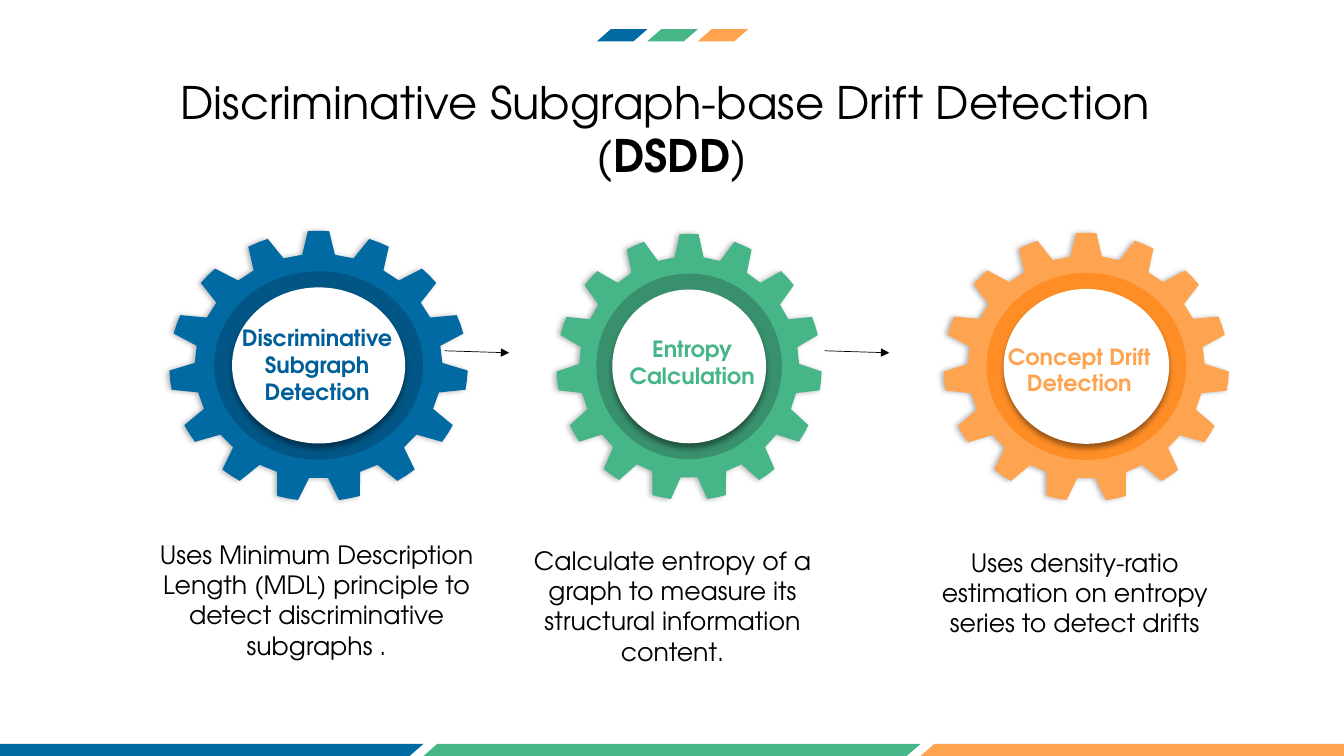
from math import cos, radians, sin

from lxml.etree import SubElement
from pptx import Presentation
from pptx.dml.color import RGBColor
from pptx.enum.shapes import MSO_CONNECTOR, MSO_SHAPE
from pptx.enum.text import MSO_ANCHOR, MSO_AUTO_SIZE, PP_ALIGN
from pptx.oxml.ns import qn
from pptx.util import Inches, Pt

FONT = "TeX Gyre Adventor"
COLORS = {
    "blue": "016AA3", "blue_ring": "015685", "blue_text": "005F99",
    "green": "46B688", "green_ring": "38906C",
    "orange": "FEA34F", "orange_ring": "FE8D26",
    "black": "000000", "white": "FFFFFF",
}
TEETH = 15

# Gear box, colours, label and its box, description and its box
STAGES = [
    ((1.68, 2.29, 2.96, 2.67), "blue", "blue_text",
     ["Discriminative Subgraph", "Detection"], (2.32, 3.22, 1.65, 0.81),
     "Uses Minimum Description Length (MDL) principle to detect "
     "discriminative subgraphs .", (1.44, 5.35, 3.4, 1.21)),
    ((5.52, 2.32, 2.63, 2.63), "green", "green",
     ["Entropy", "Calculation"], (6.19, 3.33, 1.35, 0.54),
     "Calculate entropy of a graph to measure its structural information "
     "content.", (4.97, 5.41, 3.4, 1.21)),
    ((9.36, 2.31, 2.83, 2.65), "orange", "orange",
     ["Concept Drift Detection"], (9.96, 3.4, 1.49, 0.54),
     "Uses density-ratio estimation on entropy series to detect drifts",
     (9.13, 5.43, 3.06, 0.93)),
]


def rgb(name):
    return RGBColor.from_string(COLORS[name])


def paint(shape, color):
    shape.shadow.inherit = False
    shape.fill.solid()
    shape.fill.fore_color.rgb = rgb(color)
    shape.line.fill.background()


def cast_shadow(shape, opacity, blur, distance, direction):
    effects = shape._element.spPr.find(qn("a:effectLst"))
    shadow = SubElement(effects, qn("a:outerShdw"), blurRad=str(Pt(blur)),
                        dist=str(Pt(distance)), dir=str(direction * 60000),
                        algn="ctr", rotWithShape="0")
    tint = SubElement(shadow, qn("a:srgbClr"), val=COLORS["black"])
    SubElement(tint, qn("a:alpha"), val=str(opacity * 1000))


def add_text(slide, box, paragraphs, size, color, bold=None,
             anchor=MSO_ANCHOR.TOP):
    """Each paragraph is a list of (text, bold) runs or a plain string."""
    frame = slide.shapes.add_textbox(*map(Inches, box)).text_frame
    frame.word_wrap = True
    frame.auto_size = MSO_AUTO_SIZE.SHAPE_TO_FIT_TEXT
    frame.vertical_anchor = anchor
    frame.margin_left = frame.margin_right = 0
    frame.margin_top = frame.margin_bottom = 0
    for i, content in enumerate(paragraphs):
        paragraph = frame.paragraphs[0] if i == 0 else frame.add_paragraph()
        paragraph.alignment = PP_ALIGN.CENTER
        font = paragraph.font
        font.name, font.size, font.bold = FONT, Pt(size), bold
        font.color.rgb = rgb(color)
        runs = [(content, None)] if isinstance(content, str) else content
        for text, run_bold in runs:
            run = paragraph.add_run()
            run.text = text
            if run_bold is not None:
                run.font.bold = run_bold


def add_stripes(slide, box):
    """Three slanted stripes sharing the width of the box."""
    left, top, width, height = box
    group = slide.shapes.add_group_shape()
    for i, color in enumerate(("blue", "green", "orange")):
        stripe = group.shapes.add_shape(
            MSO_SHAPE.PARALLELOGRAM, Inches(left + i * width / 3), Inches(top),
            Inches(width / 3), Inches(height))
        stripe.adjustments[0] = 1.144
        paint(stripe, color)


def add_gear(slide, box, color):
    left, top, width, height = box
    center_x, center_y = left + width / 2, top + height / 2
    radius_x, radius_y = width / 2, height / 1.99
    group = slide.shapes.add_group_shape()

    # Toothed wheel: (degrees from tooth centre, share of radius)
    tooth = [(-7.6, 0.83), (-4.1, 1), (0, 1), (4.1, 1), (7.6, 0.83)]
    outline = []
    for i in range(TEETH):
        for offset, reach in tooth:
            angle = radians(i * 360 / TEETH + offset)
            outline.append((Inches(center_x + reach * radius_x * sin(angle)),
                            Inches(top + radius_y - reach * radius_y * cos(angle))))
    builder = group.shapes.build_freeform(*outline[0])
    builder.add_line_segments(outline[1:], close=True)
    wheel = builder.convert_to_shape()
    paint(wheel, color)
    cast_shadow(wheel, 30, 4, 2, 180)

    # Ring and white centre
    for share, fill in ((0.7, color + "_ring"), (0.58, "white")):
        disc = group.shapes.add_shape(
            MSO_SHAPE.OVAL, Inches(center_x - share * width / 2),
            Inches(center_y - share * height / 2),
            Inches(share * width), Inches(share * height))
        paint(disc, fill)
    cast_shadow(disc, 40, 4, 3, 90)


def add_stage(slide, gear_box, color, label_color, label, label_box,
              description, description_box):
    add_gear(slide, gear_box, color)
    add_text(slide, label_box, label, 16, label_color, bold=True)
    add_text(slide, description_box, [description], 18, "black")


def add_arrow(slide, left, top):
    arrow = slide.shapes.add_connector(
        MSO_CONNECTOR.STRAIGHT, Inches(left), Inches(top),
        Inches(left + 0.64), Inches(top + 0.02))
    arrow.line.color.rgb = rgb("black")
    arrow.line.width = Pt(0.5)
    SubElement(arrow.line._get_or_add_ln(), qn("a:tailEnd"), type="triangle")
    SubElement(arrow._element.spPr, qn("a:effectLst"))


def main():
    deck = Presentation()
    deck.slide_width, deck.slide_height = Inches(13.33), Inches(7.5)
    slide = deck.slides.add_slide(deck.slide_layouts[6])

    # Title
    add_text(slide, (0.99, 0.73, 11.35, 1.08),
             ["Discriminative Subgraph-base Drift Detection ",
              [("(", None), ("DSDD", True), (")", None)]],
             32, "black", anchor=MSO_ANCHOR.MIDDLE)

    # Bottom and top stripes
    add_stripes(slide, (-0.73, 7.38, 14.79, 0.12))
    add_stripes(slide, (5.92, 0.29, 1.5, 0.12))

    # Three stages and the arrows between them
    for stage in STAGES:
        add_stage(slide, *stage)
    for left in (4.41, 8.18):
        add_arrow(slide, left, 3.48)

    deck.save("out.pptx")


if __name__ == "__main__":
    main()
